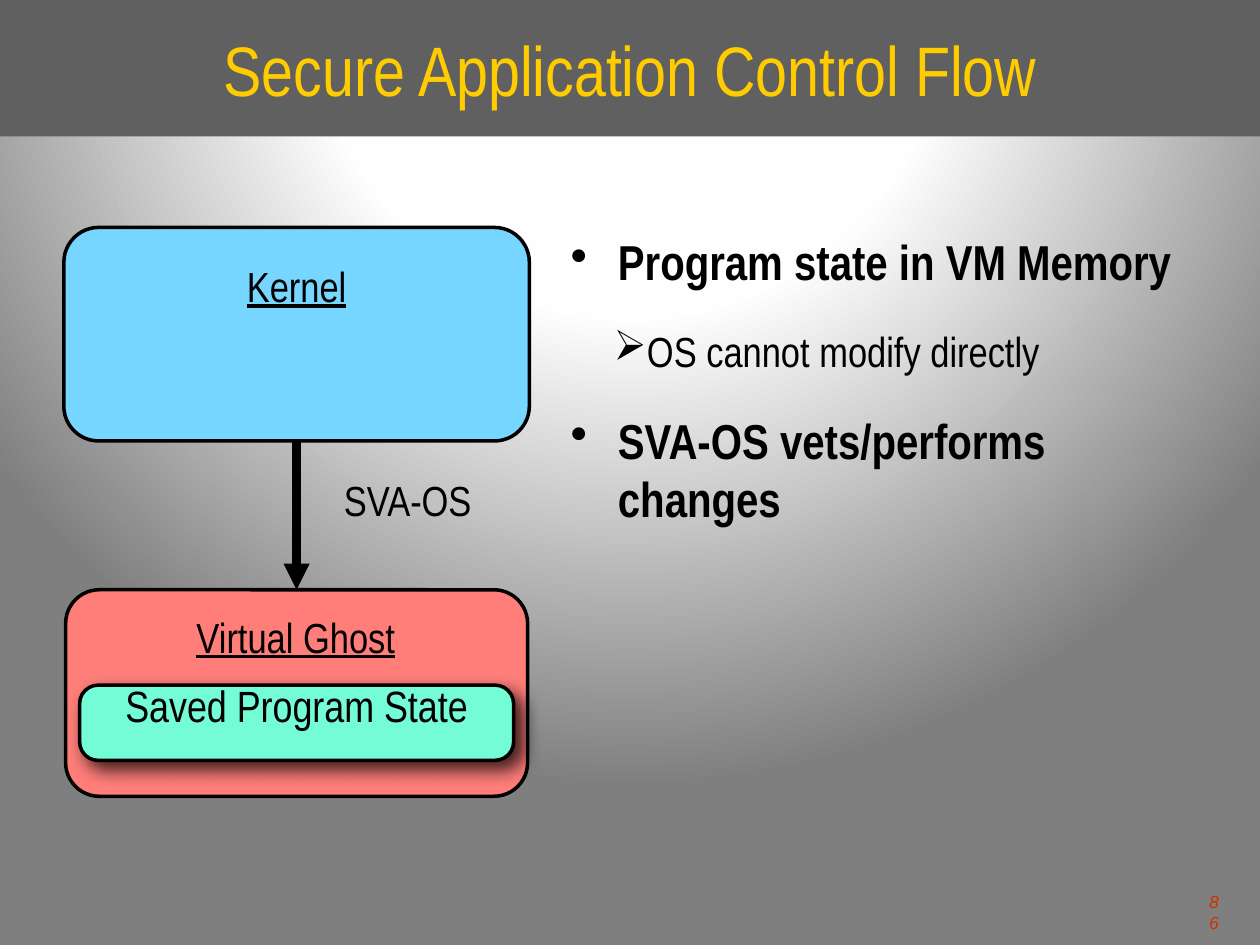
from lxml import etree
from pptx import Presentation
from pptx.dml.color import RGBColor
from pptx.enum.shapes import MSO_CONNECTOR, MSO_SHAPE
from pptx.enum.text import MSO_ANCHOR, PP_ALIGN
from pptx.oxml import parse_xml
from pptx.oxml.ns import qn
from pptx.util import Pt

ROUNDED, RECTANGLE = MSO_SHAPE.ROUNDED_RECTANGLE, MSO_SHAPE.RECTANGLE
STRAIGHT = MSO_CONNECTOR.STRAIGHT
MIDDLE, TOP = MSO_ANCHOR.MIDDLE, MSO_ANCHOR.TOP
CENTER, LEFT, RIGHT = PP_ALIGN.CENTER, PP_ALIGN.LEFT, PP_ALIGN.RIGHT
BOTTOM_SITE, TOP_SITE = 2, 0
NS = 'xmlns:a="http://schemas.openxmlformats.org/drawingml/2006/main"'


def rgb(value):
    return RGBColor.from_string(value)


class Deck:
    """Holds the style and the current slide, and draws each kind of element."""

    font = "Arial Narrow"
    ink = "000000"

    def __init__(self, width, height):
        self.presentation = Presentation()
        self.presentation.slide_width = Pt(width)
        self.presentation.slide_height = Pt(height)
        self.slide = self.presentation.slides.add_slide(self.presentation.slide_layouts[6])

    def spotlight(self, stops):
        self.slide.background.fill.solid()
        properties = self.slide.element.find(".//" + qn("p:bgPr"))
        marks = "".join(
            f'<a:gs pos="{position * 1000}"><a:srgbClr val="{color}"/></a:gs>'
            for position, color in stops
        )
        gradient = parse_xml(
            f'<a:gradFill {NS} rotWithShape="1"><a:gsLst>{marks}</a:gsLst><a:path path="circle">'
            '<a:fillToRect l="50000" t="-80000" r="50000" b="180000"/></a:path></a:gradFill>'
        )
        properties.replace(properties.find(qn("a:solidFill")), gradient)

    def run(self, paragraph, text, size, color=None, font=None, **style):
        run = paragraph.add_run()
        run.text = text
        run.font.size = Pt(size)
        run.font.name = font or self.font
        run.font.color.rgb = rgb(color or self.ink)
        for name, value in style.items():
            setattr(run.font, name, value)

    def frame(self, shape, inset, anchor, wrap):
        frame = shape.text_frame
        frame.word_wrap = wrap
        frame.vertical_anchor = anchor
        frame.margin_left = frame.margin_right = Pt(inset)
        frame.margin_top = frame.margin_bottom = Pt(inset)
        return frame

    def box(self, preset, left, top, width, height, fill, corner=None, outlined=True):
        box = self.slide.shapes.add_shape(preset, Pt(left), Pt(top), Pt(width), Pt(height))
        box.shadow.inherit = False
        box.fill.solid()
        box.fill.fore_color.rgb = rgb(fill)
        if corner is not None:
            box.adjustments[0] = corner
        if outlined:
            box.line.color.rgb = rgb(self.ink)
            box.line.width = Pt(2)
        else:
            box.line.fill.background()
        return box

    def caption(self, box, text, size, color=None, spacing=None):
        paragraph = self.frame(box, 0, MIDDLE, True).paragraphs[0]
        paragraph.alignment = CENTER
        paragraph.line_spacing = spacing
        self.run(paragraph, text, size, color)

    def drop_shadow(self, box):
        effects = box.element.spPr.find(qn("a:effectLst"))
        effects.append(parse_xml(
            f'<a:outerShdw {NS} blurRad="{Pt(10)}" dist="{Pt(6)}" dir="2700000" rotWithShape="0">'
            f'<a:srgbClr val="{self.ink}"><a:alpha val="75000"/></a:srgbClr></a:outerShdw>'
        ))

    def label(self, left, top, width, height, text, size, inset=3, anchor=MIDDLE,
              align=CENTER, wrap=False, **style):
        area = self.slide.shapes.add_textbox(Pt(left), Pt(top), Pt(width), Pt(height))
        paragraph = self.frame(area, inset, anchor, wrap).paragraphs[0]
        paragraph.alignment = align
        self.run(paragraph, text, size, **style)

    def bullets(self, left, top, width, height, points):
        area = self.slide.shapes.add_textbox(Pt(left), Pt(top), Pt(width), Pt(height))
        frame = area.text_frame
        frame.word_wrap = True
        for index, (level, text) in enumerate(points):
            margin, hanging, mark, size = ((27, 27, "•", 28), (40.5, 16, "➢", 24))[level]
            paragraph = frame.add_paragraph() if index else frame.paragraphs[0]
            paragraph.level = level
            paragraph.alignment = LEFT
            properties = paragraph._p.get_or_add_pPr()
            properties.set("marL", str(Pt(margin)))
            properties.set("indent", str(-Pt(hanging)))
            etree.SubElement(properties, qn("a:buChar"), char=mark)
            paragraph.space_before = Pt(19.7 if index else 0)
            self.run(paragraph, text, size, bold=level == 0)

    def arrow(self, source, target):
        arrow = self.slide.shapes.add_connector(STRAIGHT, 0, 0, 0, 0)
        arrow.begin_connect(source, BOTTOM_SITE)
        arrow.end_connect(target, TOP_SITE)
        arrow.line.color.rgb = rgb(self.ink)
        arrow.line.width = Pt(5)
        etree.SubElement(arrow.line._get_or_add_ln(), qn("a:tailEnd"), type="triangle")
        etree.SubElement(arrow._element.spPr, qn("a:effectLst"))


def main():
    deck = Deck(720, 540)
    deck.spotlight([(0, "FFFFFF"), (40, "FEFEFE"), (100, "7F7F7F")])

    title = deck.box(RECTANGLE, 0, 0, 720, 78, "606060", outlined=False)
    deck.caption(title, "Secure Application Control Flow", 40, "FFCC00")
    deck.bullets(319, 129, 369.5, 364, [
        (0, "Program state in VM Memory"),
        (1, "OS cannot modify directly"),
        (0, "SVA-OS vets/performs changes"),
    ])

    ghost = deck.box(ROUNDED, 37.5, 337, 264, 118, "FF7E79", 0.163)
    deck.label(109, 346.5, 120, 35, "Virtual Ghost", 24, underline=True)
    saved_state = deck.box(ROUNDED, 45.5, 391.5, 248, 43, "73FCD6", 0.246)
    deck.drop_shadow(saved_state)
    deck.caption(saved_state, "Saved Program State", 25, spacing=0.01)

    kernel = deck.box(ROUNDED, 36.5, 130, 266, 122, "76D6FF", 0.163)
    deck.label(124.5, 142, 90, 43, "Kernel", 24, inset=4, wrap=True, underline=True)
    deck.arrow(kernel, ghost)
    deck.label(193.5, 268, 79, 35, "SVA-OS", 24)

    deck.label(688.5, 509, 8, 12, "86", 10, inset=0, anchor=TOP, align=RIGHT, wrap=True,
               color="CC3300", font="Arial", italic=True)
    deck.presentation.save("out.pptx")


if __name__ == "__main__":
    main()
